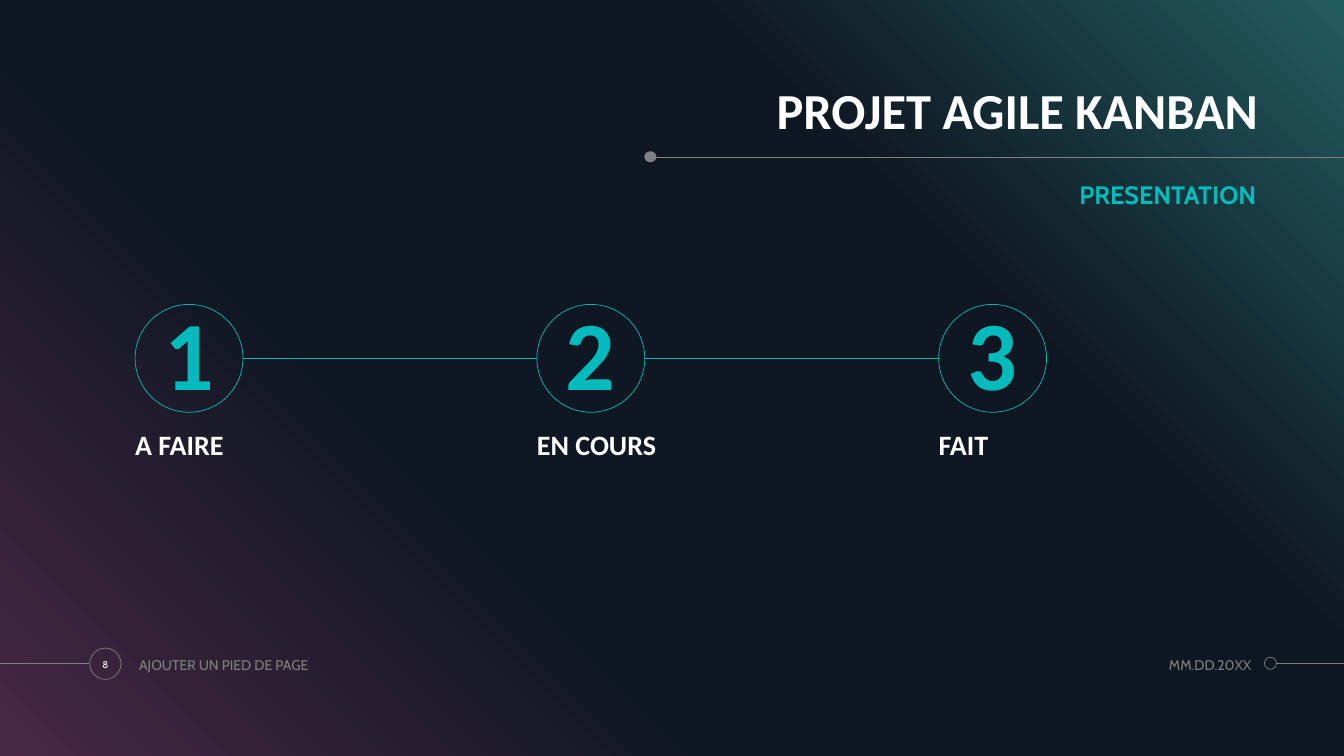
from copy import deepcopy

from pptx import Presentation
from pptx.dml.color import RGBColor
from pptx.enum.shapes import MSO_CONNECTOR, MSO_SHAPE
from pptx.enum.text import MSO_ANCHOR, PP_ALIGN
from pptx.oxml.ns import qn
from pptx.oxml.xmlchemy import OxmlElement
from pptx.util import Inches, Pt

LEFT, CENTER, RIGHT = PP_ALIGN.LEFT, PP_ALIGN.CENTER, PP_ALIGN.RIGHT
TOP, MIDDLE, BOTTOM = MSO_ANCHOR.TOP, MSO_ANCHOR.MIDDLE, MSO_ANCHOR.BOTTOM
STRAIGHT = MSO_CONNECTOR.STRAIGHT
RECTANGLE, OVAL = MSO_SHAPE.RECTANGLE, MSO_SHAPE.OVAL

WHITE = RGBColor(0xFF, 0xFF, 0xFF)
GREY = RGBColor(0x80, 0x80, 0x80)
TEAL = RGBColor(0x00, 0xBB, 0xBB)
PURPLE = RGBColor(0x48, 0x28, 0x45)
NIGHT = RGBColor(0x0F, 0x17, 0x22)
DEEP_TEAL = RGBColor(0x22, 0x5B, 0x5F)

WIDTH, HEIGHT = 13.33, 7.5
GRADIENT = [(0, PURPLE), (0.34, NIGHT), (0.69, NIGHT), (1, DEEP_TEAL)]

STAGES = ["A FAIRE", "EN COURS", "FAIT"]
STAGE_LEFT, STAGE_STEP, STAGE_TOP, CIRCLE = 1.34, 3.985, 3.02, 1.07
LABEL_TOP, LABEL_WIDTH, LABEL_HEIGHT = 4.22, 3.22, 0.36
FOOTER_TOP, FOOTER_HEIGHT, FOOTER_LINE = 6.43, 0.33, 6.58

STYLES = {
    "title": ({"name": "Calibri", "size": Pt(36), "bold": True}, WHITE, RIGHT, BOTTOM, 0.9),
    "subtitle": ({"name": "Cabin", "size": Pt(18), "bold": True}, TEAL, RIGHT, TOP, 1),
    "number": ({"name": "Calibri", "size": Pt(70), "bold": True}, TEAL, CENTER, MIDDLE, 0.9),
    "label": ({"name": "Calibri", "size": Pt(20), "bold": True}, WHITE, LEFT, BOTTOM, 0.9),
    "page": ({"name": "Cabin", "size": Pt(7)}, WHITE, CENTER, MIDDLE, 1),
    "footer": ({"name": "Cabin", "size": Pt(10)}, GREY, LEFT, MIDDLE, 1),
    "date": ({"name": "Cabin", "size": Pt(10)}, GREY, RIGHT, MIDDLE, 1),
}

TEXTS = [
    ("PROJET AGILE KANBAN", "title", (5.58, 0.77, 6.9, 0.62)),
    ("PRESENTATION", "subtitle", (5.58, 1.78, 6.88, 0.62)),
    ("8", "page", (0.85, FOOTER_TOP, 0.39, FOOTER_HEIGHT)),
    ("AJOUTER UN PIED DE PAGE", "footer", (1.38, FOOTER_TOP, 3.09, FOOTER_HEIGHT)),
    ("MM.DD.20XX", "date", (10.95, FOOTER_TOP, 1.46, FOOTER_HEIGHT)),
]

GREY_LINES = [
    (WIDTH, 1.56, 6.48, 1.56),
    (12.66, FOOTER_LINE, WIDTH, FOOTER_LINE),
    (0, FOOTER_LINE, 0.88, FOOTER_LINE),
]
GREY_RINGS = [(12.54, 6.52, 0.12, 0.12), (0.89, 6.43, 0.31, 0.31)]
TITLE_DOT = (6.39, 1.5, 0.12, 0.11)


def inches(values):
    return [Inches(value) for value in values]


def add_line(page, ends, color):
    line = page.shapes.add_connector(STRAIGHT, *inches(ends))
    line.line.color.rgb = color
    line.line.width = Pt(0.5)
    line._element.spPr.append(OxmlElement("a:effectLst"))


def add_plain(page, kind, frame):
    shape = page.shapes.add_shape(kind, *inches(frame))
    shape.shadow.inherit = False
    shape.fill.background()
    shape.line.fill.background()
    return shape


def add_ring(page, frame, color):
    ring = add_plain(page, OVAL, frame)
    ring.line.color.rgb = color
    ring.line.width = Pt(0.5)
    return ring


def write(shape, text, style):
    font, color, align, anchor, spacing = STYLES[style]
    frame = shape.text_frame
    settings = {"word_wrap": True, "vertical_anchor": anchor, "margin_left": 0,
                "margin_top": 0, "margin_right": 0, "margin_bottom": 0}
    for name, value in settings.items():
        setattr(frame, name, value)
    para = frame.paragraphs[0]
    para.alignment = align
    para.line_spacing = spacing
    span = para.add_run()
    span.text = text
    for name, value in font.items():
        setattr(span.font, name, value)
    span.font.color.rgb = color


def add_text(page, text, style, frame):
    write(page.shapes.add_textbox(*inches(frame)), text, style)


def add_backdrop(page):
    backdrop = add_plain(page, RECTANGLE, (0, 0, WIDTH, HEIGHT))
    backdrop.fill.gradient()
    backdrop.fill.gradient_angle = 45
    stop_list = next(backdrop._element.spPr.iter(qn("a:gsLst")))
    while len(stop_list) < len(GRADIENT):
        stop_list.append(deepcopy(stop_list[0]))
    for stop, (position, color) in zip(backdrop.fill.gradient_stops, GRADIENT):
        stop.position = position
        stop.color.rgb = color


def add_stages(page):
    middle = STAGE_TOP + CIRCLE / 2
    for index, label in enumerate(STAGES):
        left = STAGE_LEFT + index * STAGE_STEP
        if index:
            add_line(page, (left - STAGE_STEP + CIRCLE, middle, left, middle), TEAL)
        ring = add_ring(page, (left, STAGE_TOP, CIRCLE, CIRCLE), TEAL)
        write(ring, str(index + 1), "number")
        add_text(page, label, "label", (left, LABEL_TOP, LABEL_WIDTH, LABEL_HEIGHT))


def main():
    deck = Presentation()
    deck.slide_width, deck.slide_height = inches((WIDTH, HEIGHT))
    page = deck.slides.add_slide(deck.slide_layouts[6])
    add_backdrop(page)
    for ends in GREY_LINES:
        add_line(page, ends, GREY)
    for frame in GREY_RINGS:
        add_ring(page, frame, GREY)
    dot = add_plain(page, OVAL, TITLE_DOT)
    dot.fill.solid()
    dot.fill.fore_color.rgb = GREY
    add_stages(page)
    for text, style, frame in TEXTS:
        add_text(page, text, style, frame)
    deck.save("out.pptx")


if __name__ == "__main__":
    main()
